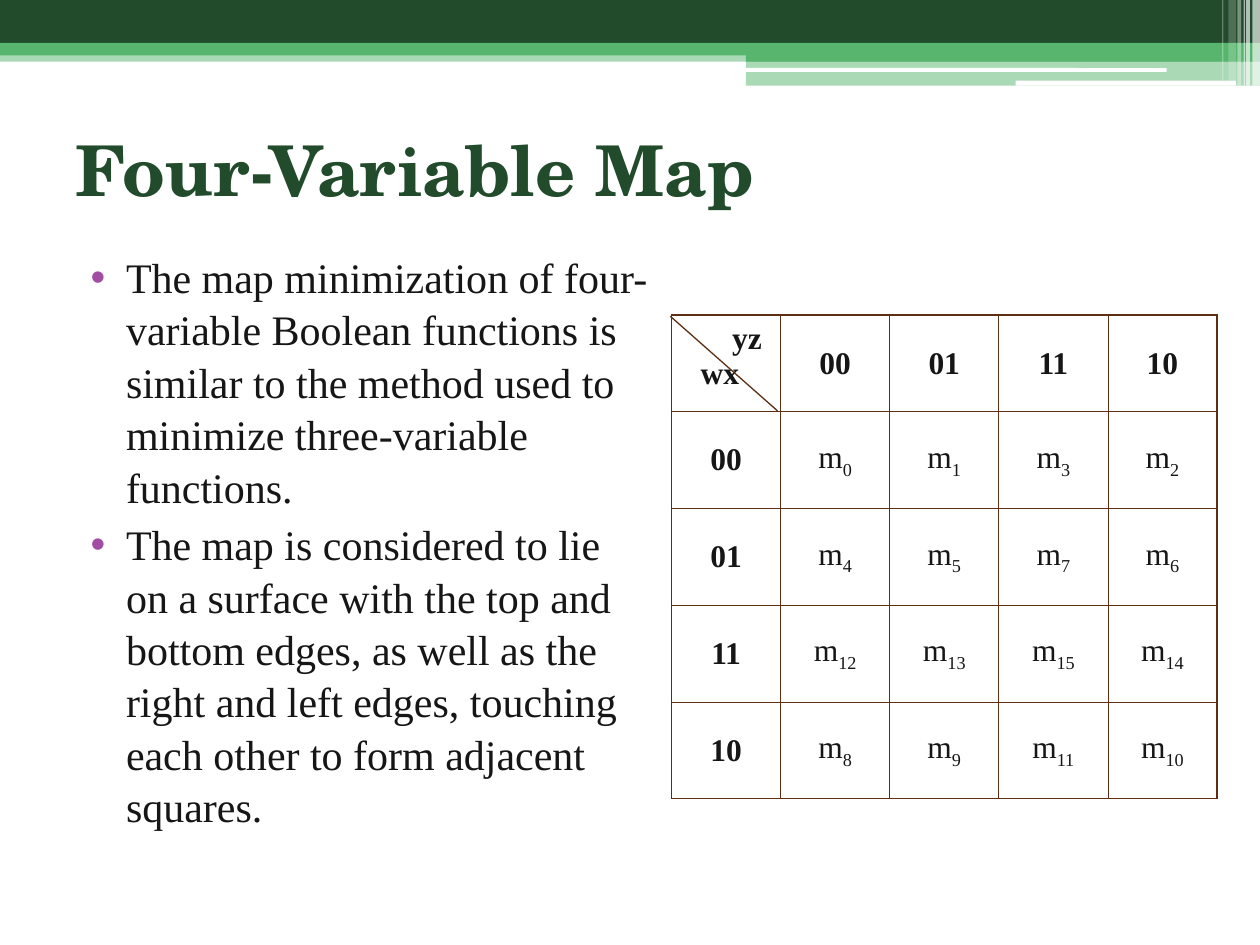
from dataclasses import dataclass

from lxml import etree
from pptx import Presentation
from pptx.dml.color import RGBColor
from pptx.enum.shapes import MSO_CONNECTOR, MSO_SHAPE
from pptx.enum.text import MSO_ANCHOR, MSO_AUTO_SIZE, PP_ALIGN
from pptx.oxml.ns import qn
from pptx.util import Inches, Pt

RECT, ROUND = MSO_SHAPE.RECTANGLE, MSO_SHAPE.ROUNDED_RECTANGLE
MIDDLE, LEFT, CENTER = MSO_ANCHOR.MIDDLE, PP_ALIGN.LEFT, PP_ALIGN.CENTER
NO_FIT = MSO_AUTO_SIZE.NONE


@dataclass(frozen=True)
class Theme:
    dark: str = "214B2B"
    green: str = "57B56D"
    white: str = "FFFFFF"
    ink: str = "161616"
    bullet: str = "A04DA3"
    rule: str = "5C2E14"
    title_font: str = "TeX Gyre Schola"
    text_font: str = "Times New Roman"
    title_size: int = 40
    body_size: int = 24
    table_size: int = 18
    thick: float = 1
    thin: float = 0.5
    diagonal: float = 0.75


theme = Theme()


def style_font(font, name, size, color, bold=False):
    font.name, font.size, font.bold = name, Pt(size), bold
    font.color.rgb = RGBColor.from_string(color)


def set_borders(cell, widths):
    """Draw the left, right, top and bottom borders, with widths in points."""
    properties = cell._tc.get_or_add_tcPr()
    for position, (side, width) in enumerate(zip("LRTB", widths)):
        line = etree.Element(qn(f"a:ln{side}"), w=str(Pt(width)))
        fill = etree.SubElement(line, qn("a:solidFill"))
        etree.SubElement(fill, qn("a:srgbClr"), val=theme.rule)
        properties.insert(position, line)


deck = Presentation()
deck.slide_width, deck.slide_height = Inches(10), Inches(7.5)
page = deck.slides.add_slide(deck.slide_layouts[1])

# Header bands: shape, left, top, width, height, colour, opacity in percent
bands = [
    (RECT, 0, 0.4, 10, 0.09, theme.green, 50),
    (RECT, 0, 0, 10, 0.34, theme.dark, 100),
    (RECT, 0, 0.34, 10, 0.1, theme.green, 100),
    (RECT, 5.92, 0.39, 4.08, 0.1, theme.green, 100),
    (RECT, 5.92, 0.48, 4.08, 0.2, theme.green, 50),
    (ROUND, 5.91, 0.54, 3.35, 0.03, theme.white, 100),
    (ROUND, 8.06, 0.64, 1.75, 0.04, theme.white, 100),
    (RECT, 9.94, 0, 0.06, 0.68, theme.white, 65),
    (RECT, 9.89, 0, 0.03, 0.68, theme.white, 65),
    (RECT, 9.87, 0, 0.01, 0.68, theme.white, 60),
    (RECT, 9.82, 0, 0.03, 0.68, theme.white, 40),
    (RECT, 9.75, 0, 0.06, 0.64, theme.white, 20),
    (RECT, 9.7, 0, 0.01, 0.64, theme.white, 30),
]
for kind, left, top, width, height, color, opacity in bands:
    band = page.shapes.add_shape(
        kind, Inches(left), Inches(top), Inches(width), Inches(height))
    band.shadow.inherit = False
    band.line.fill.background()
    band.fill.solid()
    band.fill.fore_color.rgb = RGBColor.from_string(color)
    if opacity < 100:
        color_node = band._element.spPr.find(".//" + qn("a:srgbClr"))
        etree.SubElement(color_node, qn("a:alpha"), val=str(opacity * 1000))

# Title
title = page.shapes.title
title.left, title.top = Inches(0.5), Inches(0.75)
title.width, title.height = Inches(9), Inches(1.17)
title.text_frame.text = "Four-Variable Map"
title.text_frame.auto_size = NO_FIT
title.text_frame.vertical_anchor = MIDDLE
para = title.text_frame.paragraphs[0]
para.alignment = LEFT
style_font(para.font, theme.title_font, theme.title_size, theme.dark, True)

# Bulleted text
points = [
    "The map minimization of four-variable Boolean functions is similar to "
    "the method used to minimize three-variable functions.",
    "The map is considered to lie on a surface with the top and bottom edges, "
    "as well as the right and left edges, touching each other to form "
    "adjacent squares.",
]
body = page.placeholders[1]
body.left, body.top = Inches(0.5), Inches(1.93)
body.width, body.height = Inches(4.75), Inches(4.73)
body.text_frame.text = "\n".join(points)
body.text_frame.auto_size = NO_FIT
for para in body.text_frame.paragraphs:
    para.space_before = Pt(3)
    para.line_spacing = 1.04
    style_font(para.font, theme.text_font, theme.body_size, theme.ink)
    properties = para._p.get_or_add_pPr()
    properties.set("marL", str(Inches(0.4)))
    properties.set("indent", str(Inches(-0.28)))
    bullet_color = etree.Element(qn("a:buClr"))
    etree.SubElement(bullet_color, qn("a:srgbClr"), val=theme.bullet)
    bullet = etree.Element(qn("a:buChar"), char="•")
    properties.find(qn("a:defRPr")).addprevious(bullet_color)
    bullet_color.addnext(bullet)

# Karnaugh map: rows and columns follow Gray code order
gray_codes = [0, 1, 3, 2]
count = len(gray_codes) + 1
frame = page.shapes.add_table(
    count, count, Inches(5.33), Inches(2.5), Inches(4.33), Inches(3.84))
table = frame.table
table.first_row = table.horz_banding = False
edges = [theme.thick, theme.thick] + [theme.thin] * (count - 2) + [theme.thick]

for row in range(count):
    for column in range(count):
        cell = table.cell(row, column)
        cell.fill.background()
        set_borders(cell, (edges[column], edges[column + 1],
                           edges[row], edges[row + 1]))
        para = cell.text_frame.paragraphs[0]
        is_header = row == 0 or column == 0
        style_font(para.font, theme.text_font, theme.table_size, theme.ink, is_header)
        if row == column == 0:
            para.text = "yz wx"
            properties = para._p.get_or_add_pPr()
            properties.set("marL", str(Inches(0.13)))
            properties.set("indent", str(Inches(0.25)))
            spans = para.runs
        else:
            cell.vertical_anchor = MIDDLE
            para.alignment = CENTER
            if is_header:
                para.text = f"{gray_codes[max(row, column) - 1]:02b}"
            else:
                minterm = 4 * gray_codes[row - 1] + gray_codes[column - 1]
                para.add_run().text = "m"
                subscript = para.add_run()
                subscript.text = str(minterm)
                subscript.font._element.set("baseline", "-25000")
            spans = para.runs
        for span in spans:
            style_font(span.font, theme.text_font, theme.table_size, theme.ink, is_header)

diagonal = page.shapes.add_connector(
    MSO_CONNECTOR.STRAIGHT, Inches(5.32), Inches(2.51), Inches(6.17), Inches(3.26))
diagonal.line.color.rgb = RGBColor.from_string(theme.rule)
diagonal.line.width = Pt(theme.diagonal)
etree.SubElement(diagonal._element.spPr, qn("a:effectLst"))

deck.save("out.pptx")
